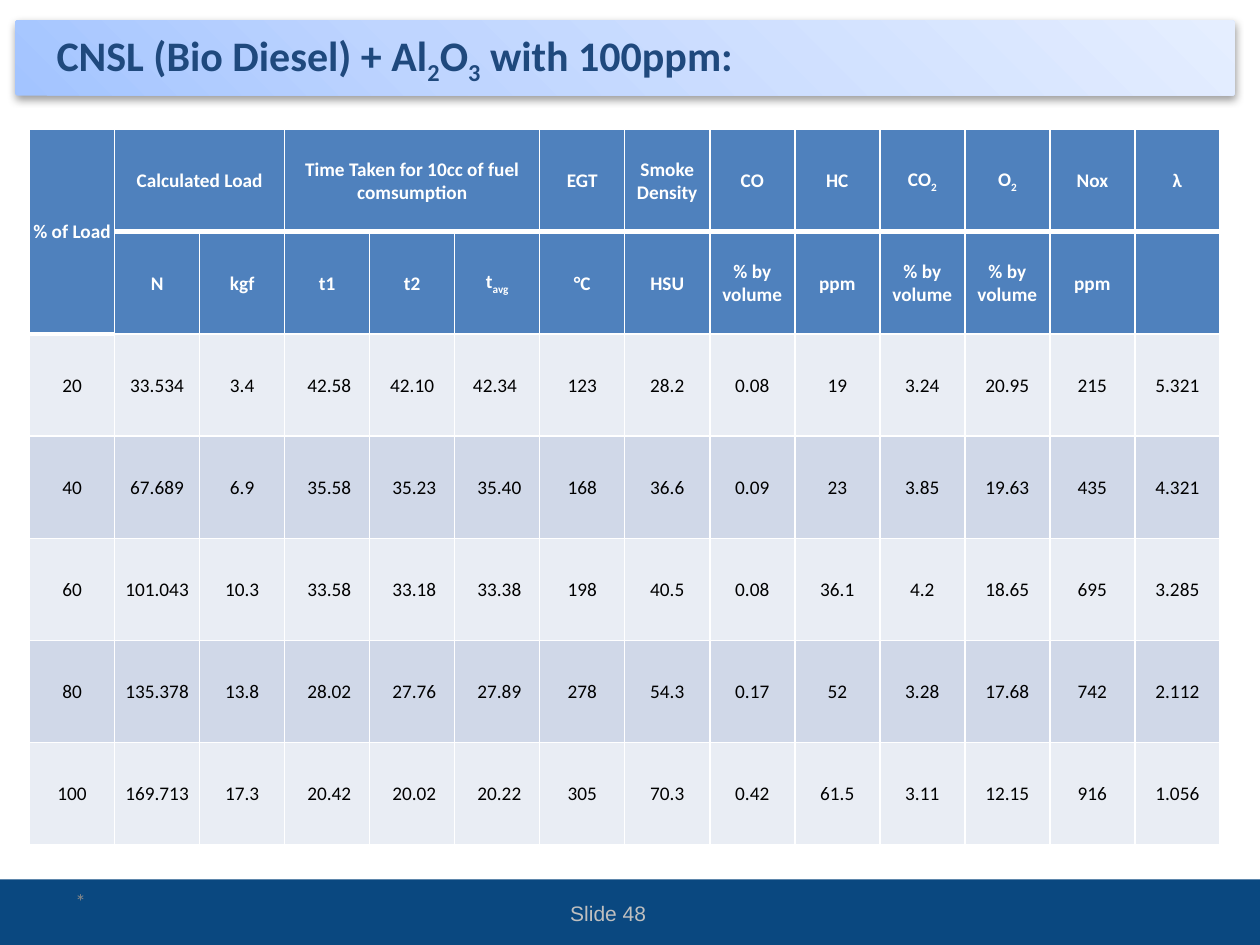
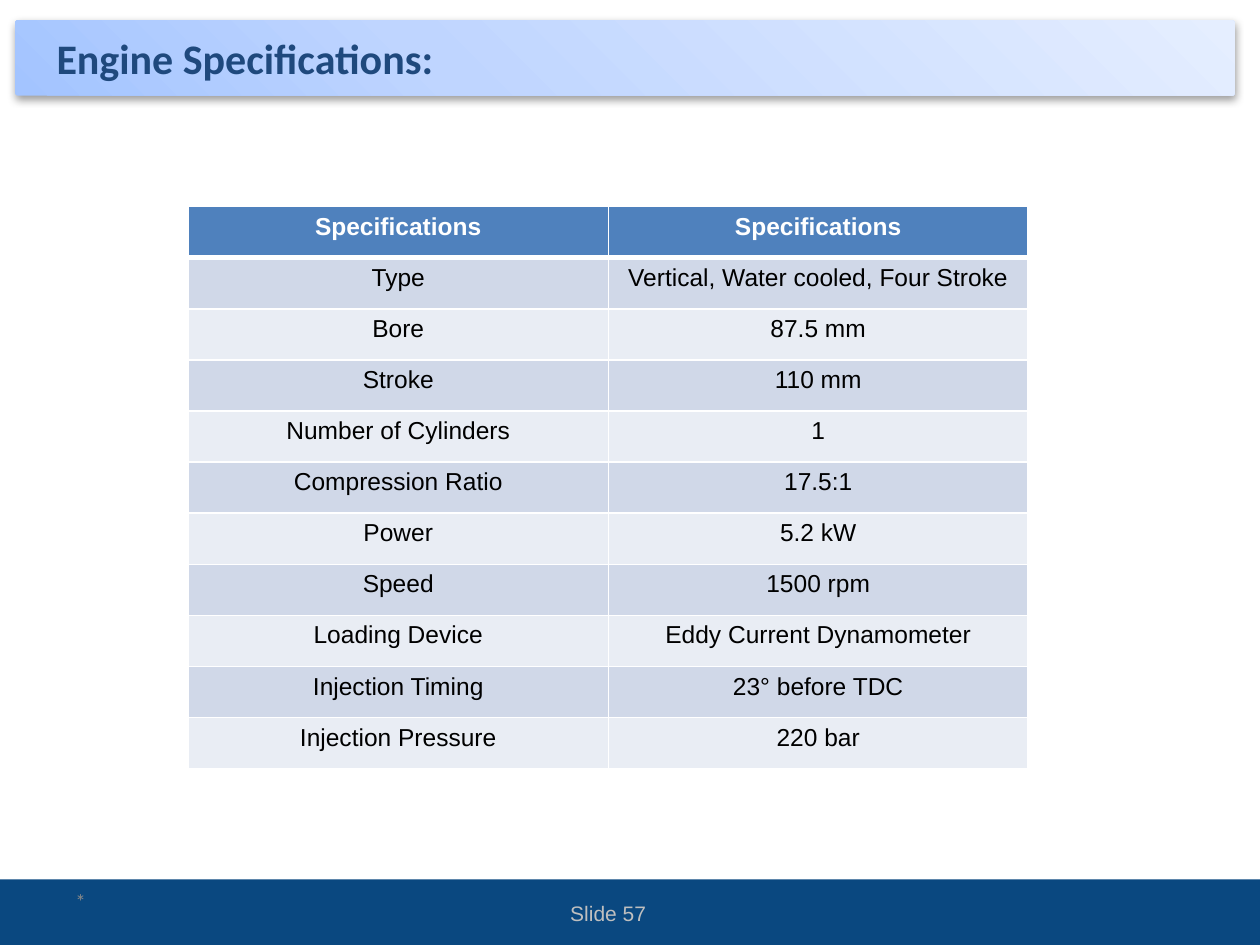
from pptx import Presentation
from pptx.dml.color import RGBColor
from pptx.enum.shapes import MSO_SHAPE as SHAPE
from pptx.enum.text import MSO_ANCHOR as ANCHOR, PP_ALIGN as ALIGN
from pptx.oxml import parse_xml
from pptx.oxml.ns import nsdecls, qn
from pptx.util import Pt

WHITE = RGBColor(0xFF, 0xFF, 0xFF)
BLACK = RGBColor(0x00, 0x00, 0x00)
NAVY = RGBColor(0x1F, 0x49, 0x7D)
FOOTER_BLUE = RGBColor(0x0A, 0x48, 0x80)
FOOTER_GREY = RGBColor(0xBF, 0xBF, 0xBF)
DATE_GREY = RGBColor(0x89, 0x89, 0x89)
HEADER_BLUE = RGBColor(0x4F, 0x81, 0xBD)
BAND_LIGHT = RGBColor(0xE9, 0xED, 0xF4)
BAND_DARK = RGBColor(0xD0, 0xD8, 0xE8)
TITLE_STOPS = [(0, RGBColor(0xA3, 0xC4, 0xFF)), (35, RGBColor(0xBF, 0xD5, 0xFF)),
               (100, RGBColor(0xE5, 0xEE, 0xFF))]

TITLE_FONT = dict(name="Calibri", size=Pt(24), bold=True)
NUMBER_FONT = dict(name="Arial", size=Pt(12))
DATE_FONT = dict(name="Calibri", size=Pt(12))
LOAD_FONT = dict(name="Calibri", size=Pt(11))
SPEC_FONT = dict(name="Arial", size=Pt(14))
TIGHT_CELL = dict(vertical_anchor=ANCHOR.MIDDLE, margin_left=Pt(0.72),
                  margin_right=Pt(0.72), margin_top=Pt(0.72), margin_bottom=Pt(0))

# Square brackets mark subscripts; None marks a cell covered by a merge.
LOAD_HEADERS = [
    ["% of Load", "Calculated Load", None, "Time Taken for 10cc of fuel comsumption",
     None, None, "EGT", "Smoke Density", "CO", "HC", "CO[2]", "O[2]", "Nox", "λ"],
    [None, "N", "kgf", "t1", "t2", "t[avg]", "°C", "HSU", "% by volume", "ppm",
     "% by volume", "% by volume", "ppm", ""],
]
LOAD_READINGS = [line.split("|") for line in (
    "20|33.534|3.4| 42.58|42.10|42.34 |123|28.2|0.08|19|3.24|20.95|215|5.321",
    "40|67.689|6.9| 35.58| 35.23| 35.40|168|36.6|0.09|23|3.85|19.63|435|4.321",
    "60|101.043|10.3| 33.58| 33.18| 33.38|198|40.5|0.08|36.1|4.2|18.65|695|3.285",
    "80|135.378|13.8| 28.02| 27.76| 27.89|278|54.3|0.17|52|3.28|17.68|742|2.112",
    "100|169.713|17.3| 20.42| 20.02| 20.22|305|70.3|0.42|61.5|3.11|12.15|916|1.056",
)]
LOAD_MERGES = [((0, 0), (1, 0)), ((0, 1), (0, 2)), ((0, 3), (0, 5))]

ENGINE_SPECS = [
    ("Type", "Vertical, Water cooled, Four Stroke"),
    ("Bore", "87.5 mm"),
    ("Stroke", "110 mm"),
    ("Number of Cylinders", "1"),
    ("Compression Ratio", "17.5:1"),
    ("Power", "5.2 kW"),
    ("Speed", "1500 rpm"),
    ("Loading Device", "Eddy Current Dynamometer"),
    ("Injection Timing", "23° before TDC"),
    ("Injection Pressure", "220 bar"),
]


def apply(target, settings):
    for name, value in settings.items():
        setattr(target, name, value)


class Deck:
    """Holds the shared style and the current slide."""

    def __init__(self):
        self.prs = Presentation()
        self.prs.slide_width, self.prs.slide_height = Pt(720), Pt(540)
        self.slide = None

    def new_slide(self, title, number):
        self.slide = self.prs.slides.add_slide(self.prs.slide_layouts[6])
        # Footer bar and title band
        self.bar(SHAPE.RECTANGLE, 0, 502.5, 720, 37.5, FOOTER_BLUE)
        self.title_band()
        # Title, slide number and date mark
        self.text(title, 25.2, 15.1, 589, 36, TITLE_FONT, NAVY)
        self.text(f"Slide {number}", 263.5, 507.6, 168, 28.8, NUMBER_FONT,
                  FOOTER_GREY, ALIGN.CENTER)
        self.text("*", 36, 500.4, 168, 28.8, DATE_FONT, DATE_GREY)

    def bar(self, kind, x, y, w, h, color):
        bar = self.slide.shapes.add_shape(kind, Pt(x), Pt(y), Pt(w), Pt(h))
        bar.shadow.inherit = False
        bar.fill.solid()
        bar.fill.fore_color.rgb = color
        bar.line.fill.background()
        return bar

    def title_band(self):
        band = self.bar(SHAPE.ROUNDED_RECTANGLE, 8.6, 11.5, 697, 43.2, TITLE_STOPS[0][1])
        band.adjustments[0] = 0.04
        props = band.element.spPr
        stops = "".join(f'<a:gs pos="{pos * 1000}"><a:srgbClr val="{color}"/></a:gs>'
                        for pos, color in TITLE_STOPS)
        props.replace(props.find(qn("a:solidFill")), parse_xml(
            f'<a:gradFill {nsdecls("a")} rotWithShape="1"><a:gsLst>{stops}</a:gsLst>'
            f'<a:lin ang="{315 * 60000}" scaled="0"/></a:gradFill>'))
        props.find(qn("a:effectLst")).append(parse_xml(
            f'<a:outerShdw {nsdecls("a")} blurRad="{Pt(5)}" dist="{Pt(1.6)}" '
            f'dir="{90 * 60000}" rotWithShape="0"><a:srgbClr val="000000">'
            '<a:alpha val="38000"/></a:srgbClr></a:outerShdw>'))

    def add_runs(self, paragraph, text, font, color, align):
        paragraph.alignment = align
        for index, part in enumerate(text.replace("]", "[").split("[")):
            if not part:
                continue
            run = paragraph.add_run()
            run.text = part
            apply(run.font, font)
            run.font.color.rgb = color
            if index % 2:
                run.font._element.set("baseline", "-25000")

    def text(self, text, x, y, w, h, font, color, align=ALIGN.LEFT):
        frame = self.slide.shapes.add_textbox(Pt(x), Pt(y), Pt(w), Pt(h)).text_frame
        frame.word_wrap = True
        frame.vertical_anchor = ANCHOR.MIDDLE
        self.add_runs(frame.paragraphs[0], text, font, color, align)

    def borders(self, cell, widths):
        props = cell._tc.get_or_add_tcPr()
        for side, width in widths.items():
            props.append(parse_xml(
                f'<a:ln{side} {nsdecls("a")} w="{Pt(width)}"><a:solidFill>'
                f'<a:srgbClr val="{WHITE}"/></a:solidFill></a:ln{side}>'))

    def table(self, headers, body, x, y, col_width, row_height, font, bands,
              cell_format=None, merges=()):
        rows = headers + body
        count, width = len(rows), len(rows[0])
        table = self.slide.shapes.add_table(
            count, width, Pt(x), Pt(y), Pt(col_width * width), Pt(row_height * count)).table
        table.first_row = table.horz_banding = False
        for column in table.columns:
            column.width = Pt(col_width)
        for row in table.rows:
            row.height = Pt(row_height)
        for first, last in merges:
            table.cell(*first).merge(table.cell(*last))

        for r, row in enumerate(rows):
            is_header = r < len(headers)
            fill = HEADER_BLUE if is_header else bands[(r - len(headers)) % 2]
            for c, text in enumerate(row):
                cell = table.cell(r, c)
                if text is not None:
                    # A heavy rule runs below each cell of the first row
                    below_top = r == table.cell(0, c).span_height
                    self.borders(cell, dict(L=1, R=1, T=3 if below_top else 1,
                                            B=3 if r == 0 else 1))
                    self.add_runs(cell.text_frame.paragraphs[0], text,
                                  dict(font, bold=is_header),
                                  WHITE if is_header else BLACK, ALIGN.CENTER)
                cell.fill.solid()
                cell.fill.fore_color.rgb = fill
                apply(cell, cell_format or {})


def main():
    deck = Deck()

    # Fuel test readings
    deck.new_slide("CNSL (Bio Diesel) + Al[2]O[3] with 100ppm:", 48)
    deck.table(LOAD_HEADERS, LOAD_READINGS, 16.9, 74, 48.6, 58.4, LOAD_FONT,
               (BAND_LIGHT, BAND_DARK), TIGHT_CELL, LOAD_MERGES)

    # Engine data
    deck.new_slide("Engine Specifications:", 57)
    deck.table([("Specifications", "Specifications")], ENGINE_SPECS, 107.6, 118.1, 240, 29.2,
               SPEC_FONT, (BAND_DARK, BAND_LIGHT))

    deck.prs.save("out.pptx")


if __name__ == "__main__":
    main()
